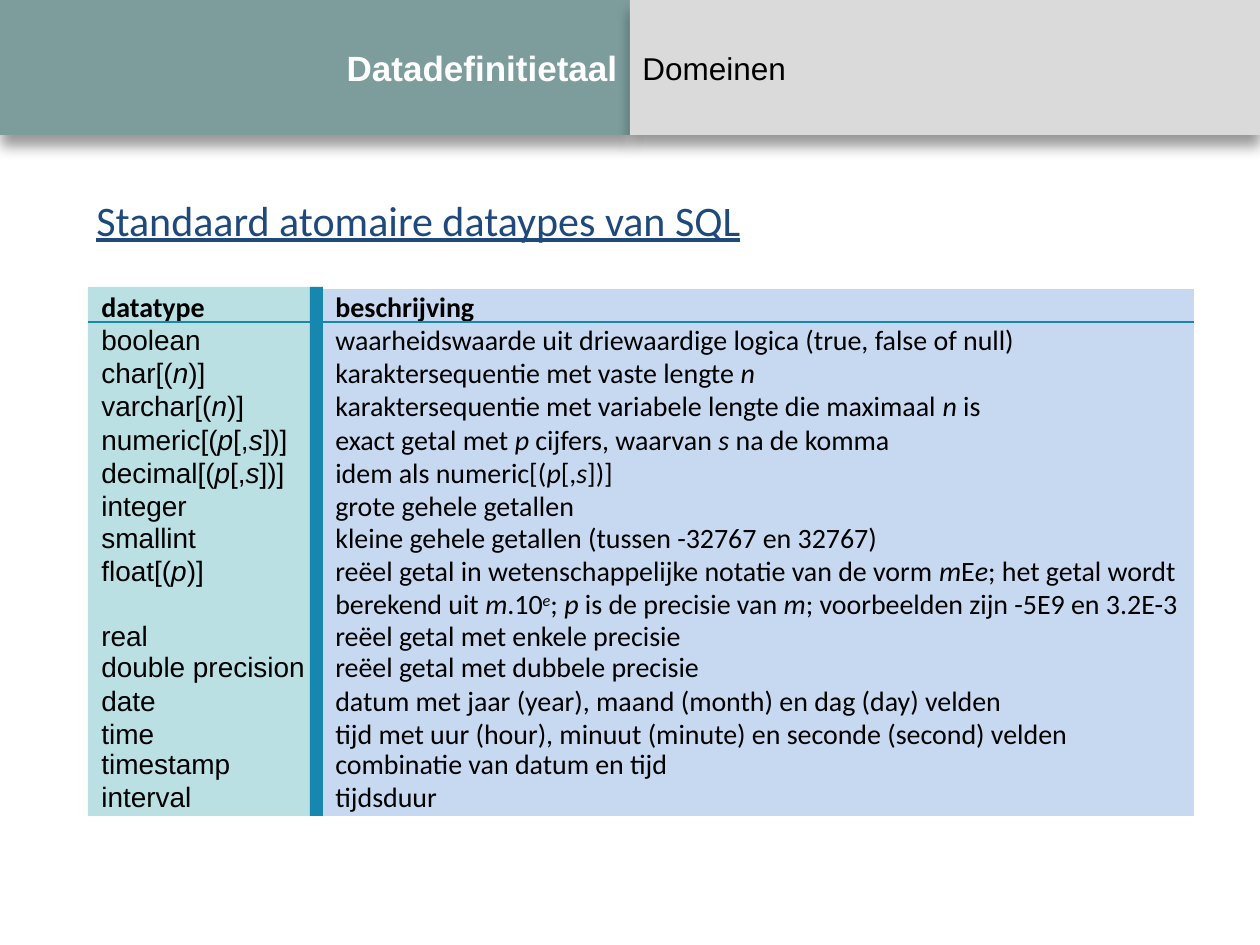
from lxml import etree
from pptx import Presentation
from pptx.dml.color import RGBColor
from pptx.enum.shapes import MSO_CONNECTOR, MSO_SHAPE
from pptx.enum.text import MSO_ANCHOR, MSO_AUTO_SIZE, PP_ALIGN
from pptx.oxml.ns import qn
from pptx.util import Emu, Pt

RECTANGLE = MSO_SHAPE.RECTANGLE
STRAIGHT = MSO_CONNECTOR.STRAIGHT
MIDDLE = MSO_ANCHOR.MIDDLE
FIT_TEXT = MSO_AUTO_SIZE.SHAPE_TO_FIT_TEXT
LEFT, RIGHT = PP_ALIGN.LEFT, PP_ALIGN.RIGHT

EMU_PER_PX = 914400 // 126
EMU_PER_PT = 12700
BLANK_LAYOUT = 6

COLORS = {
    "title": "7D9D9D",
    "topic": "DADADA",
    "heading": "1F497D",
    "types": "BBE0E3",
    "descriptions": "C6D9F1",
    "rule": "1687AF",
    "black": "000000",
    "white": "FFFFFF",
}

TYPE_LEFT, DESCRIPTION_LEFT, ROW_HEIGHT = 89, 323, 47
TITLE_FORMAT = {"name": "Arial", "size": Pt(20), "bold": True}
TOPIC_FORMAT = {"name": "Arial", "size": Pt(18)}
HEADING_FORMAT = {"name": "Calibri", "size": Pt(24), "underline": True}
HEADER_FORMAT = {"name": "Calibri", "size": Pt(16), "bold": True}
TYPE_FORMAT = {"name": "Arial", "size": Pt(16)}
DESCRIPTION_FORMAT = {"name": "Calibri", "size": Pt(16)}
ITALIC_MARK, RAISED_MARK = "*", "^"

ROWS = [
    (316, "boolean", 127,
     "waarheidswaarde uit driewaardige logica (true, false of null)", 764),
    (349, "char[(*n*)]", 132, "karaktersequentie met vaste lengte *n*", 487),
    (382, "varchar[(*n*)]", 171,
     "karaktersequentie met variabele lengte die maximaal *n* is", 734),
    (416, "numeric[(*p*[,*s*])]", 215,
     "exact getal met *p* cijfers, waarvan *s* na de komma", 643),
    (449, "decimal[(*p*[,*s*])]", 211, "idem als numeric[(*p*[,*s*])]", 327),
    (482, "integer", 113, "grote gehele getallen", 288),
    (514, "smallint", 122, "kleine gehele getallen (tussen -32767 en 32767)", 626),
    (547, "float[(*p*)]", 131,
     "reëel getal in wetenschappelijke notatie van de vorm *m*E*e*; het getal wordt\n"
     "berekend uit *m*.10*^e*; *p* is de precisie van *m*; "
     "voorbeelden zijn -5E9 en 3.2E-3", 970),
    (612, "real", 74, "reëel getal met enkele precisie", 406),
    (643, "double precision", 231, "reëel getal met dubbele precisie", 424),
    (677, "date", 84, "datum met jaar (year), maand (month) en dag (day) velden", 757),
    (710, "time", 82,
     "tijd met uur (hour), minuut (minute) en seconde (second) velden", 826),
    (740, "timestamp", 157, "combinatie van datum en tijd", 384),
    (773, "interval", 118, "tijdsduur", 133),
]


def px(*lengths):
    return [Emu(length * EMU_PER_PX) for length in lengths]


def color(name):
    return RGBColor.from_string(COLORS[name])


def add_span(para, text, formats, color_name):
    span = para.add_run()
    span.text = text.lstrip(RAISED_MARK)
    for attribute, value in formats.items():
        setattr(span.font, attribute, value)
    span.font.color.rgb = color(color_name)
    if text.startswith(RAISED_MARK):
        span._r.get_or_add_rPr().set("baseline", "30000")


def write(frame, text, formats, color_name="black", align=LEFT):
    for number, line in enumerate(text.split("\n")):
        para = frame.add_paragraph() if number else frame.paragraphs[0]
        para.alignment = align
        for index, part in enumerate(line.split(ITALIC_MARK)):
            if part:
                style = {**formats, "italic": True} if index % 2 else formats
                add_span(para, part, style, color_name)


def add_panel(page, bounds, fill):
    panel = page.shapes.add_shape(RECTANGLE, *px(*bounds))
    panel.shadow.inherit = False
    panel.fill.solid()
    panel.fill.fore_color.rgb = color(fill)
    panel.line.fill.background()
    return panel


def add_banner(page, bounds, fill, text, formats, color_name, align):
    banner = add_panel(page, bounds, fill)
    effects = banner._element.spPr.find(qn("a:effectLst"))
    shadow = etree.SubElement(
        effects, qn("a:outerShdw"), blurRad=str(8 * EMU_PER_PT),
        dist=str(6 * EMU_PER_PT), dir="5400000", rotWithShape="0")
    tint = etree.SubElement(shadow, qn("a:srgbClr"), val=COLORS["black"])
    etree.SubElement(tint, qn("a:alpha"), val="40000")
    banner.text_frame.vertical_anchor = MIDDLE
    write(banner.text_frame, text, formats, color_name, align)


def add_heading(page, bounds, text):
    box = page.shapes.add_textbox(*px(*bounds))
    box.text_frame.word_wrap = True
    write(box.text_frame, text, HEADING_FORMAT, "heading")


def add_label(page, left, top, width, text, formats):
    height = ROW_HEIGHT + 34 * text.count("\n")
    box = page.shapes.add_textbox(*px(left, top, width, height))
    box.text_frame.word_wrap = False
    box.text_frame.auto_size = FIT_TEXT
    write(box.text_frame, text, formats)


def add_rule(page, left, right, y):
    rule = page.shapes.add_connector(STRAIGHT, *px(left, y, right, y))
    rule.line.color.rgb = color("rule")
    rule.line.width = Pt(1.5)
    etree.SubElement(rule._element.spPr, qn("a:effectLst"))


def main():
    deck = Presentation()
    deck.slide_width, deck.slide_height = px(1260, 945)
    page = deck.slides.add_slide(deck.slide_layouts[BLANK_LAYOUT])

    add_banner(page, (0, 0, 630, 135), "title", "Datadefinitietaal",
               TITLE_FORMAT, "white", RIGHT)
    add_banner(page, (630, 0, 630, 135), "topic", "Domeinen",
               TOPIC_FORMAT, "black", LEFT)
    add_heading(page, (84, 188, 1124, 476), "Standaard atomaire dataypes van SQL")

    add_panel(page, (318, 289, 876, 527), "descriptions")
    add_panel(page, (88, 287, 228, 529), "types")
    add_label(page, TYPE_LEFT, 283, 132, "datatype", HEADER_FORMAT)
    add_label(page, DESCRIPTION_LEFT, 283, 168, "beschrijving", HEADER_FORMAT)
    for top, name, name_width, description, description_width in ROWS:
        add_label(page, TYPE_LEFT, top, name_width, name, TYPE_FORMAT)
        add_label(page, DESCRIPTION_LEFT, top, description_width,
                  description, DESCRIPTION_FORMAT)
    add_panel(page, (310, 287, 13, 529), "rule")
    add_rule(page, 88, 1194, 322)

    deck.save("out.pptx")


if __name__ == "__main__":
    main()
